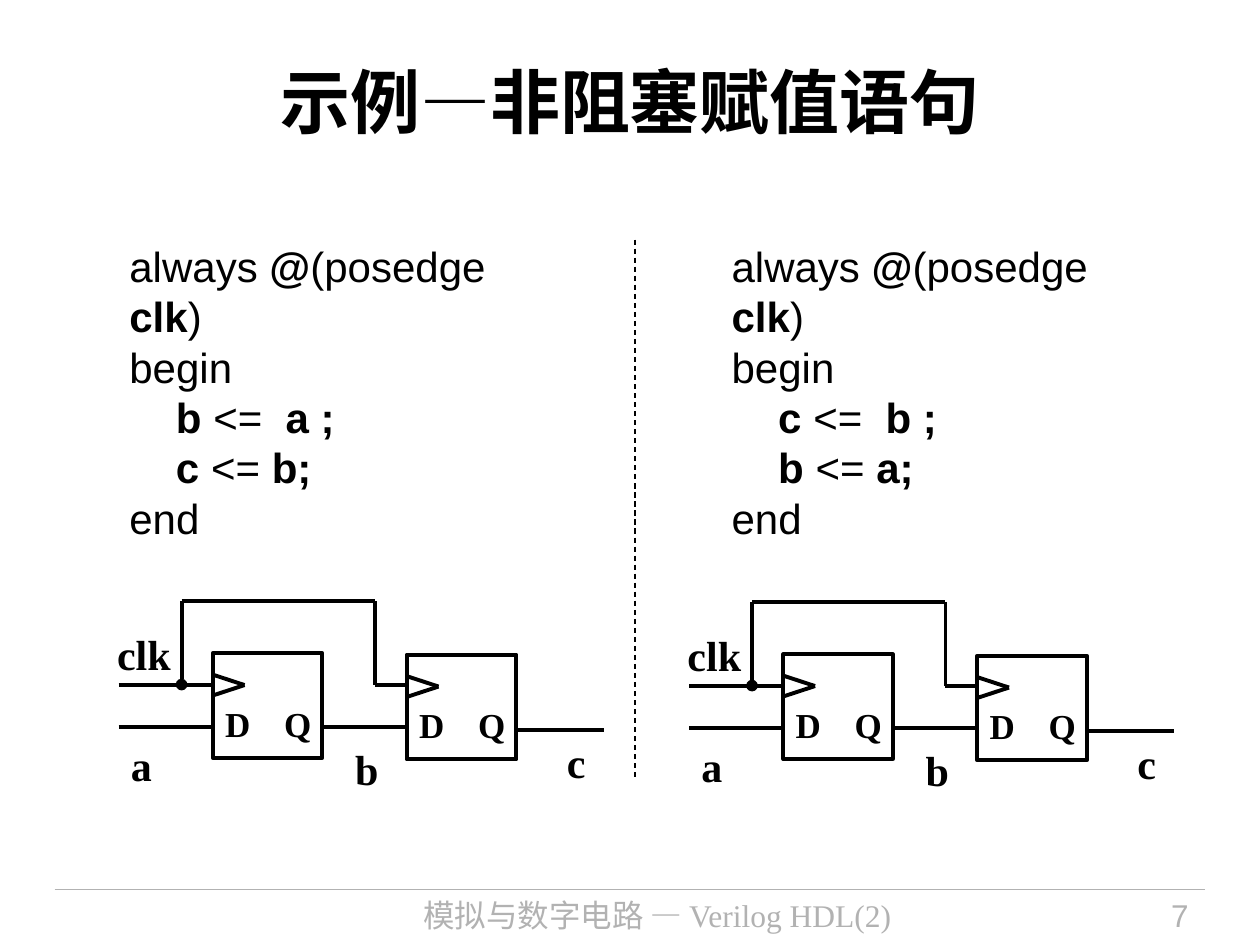
from pptx import Presentation
from pptx.dml.color import RGBColor
from pptx.enum.dml import MSO_LINE
from pptx.enum.shapes import MSO_CONNECTOR, MSO_SHAPE
from pptx.enum.text import MSO_ANCHOR, MSO_AUTO_SIZE, PP_ALIGN
from pptx.oxml.ns import qn
from pptx.util import Cm, Pt
from lxml import etree

STRAIGHT = MSO_CONNECTOR.STRAIGHT
RECTANGLE = MSO_SHAPE.RECTANGLE
DASH = MSO_LINE.DASH
LEFT, CENTER, RIGHT = PP_ALIGN.LEFT, PP_ALIGN.CENTER, PP_ALIGN.RIGHT

THEME = {
    "ink": RGBColor(0x00, 0x00, 0x00),
    "muted": RGBColor(0xB2, 0xB2, 0xB2),
    "thin": Pt(0.75),
    "wire": Pt(2.25),
}
SERIF, SANS = "Times New Roman", "Arial"
TITLE = {"name": SERIF, "size": Pt(40), "bold": True}
CODE = {"name": SANS, "size": Pt(24)}
SIGNAL = {"name": SERIF, "size": Pt(24), "bold": True}
PIN = {"name": SERIF, "size": Pt(20), "bold": True}
FOOTER = {"name": SERIF, "size": Pt(18)}
NUMBER = {"name": SANS, "size": Pt(18)}


def add_line(shapes, start, end, color="ink", width="wire"):
    line = shapes.add_connector(STRAIGHT, *map(Cm, start + end))
    line.line.color.rgb = THEME[color]
    line.line.width = THEME[width]
    etree.SubElement(line._element.spPr, qn("a:effectLst"))
    return line


def add_text(shapes, place, lines, style, color="ink", align=LEFT):
    """Add a text box; each asterisk in a line switches bold on or off."""
    box = shapes.add_textbox(*map(Cm, place))
    frame = box.text_frame
    frame.word_wrap = True
    for index, line in enumerate(lines):
        para = frame.paragraphs[0] if index == 0 else frame.add_paragraph()
        para.alignment = align
        for part, text in enumerate(line.split("*")):
            if not text:
                continue
            span = para.add_run()
            span.text = text
            span.font.bold = part % 2 == 1
            for name, value in style.items():
                setattr(span.font, name, value)
            span.font.color.rgb = THEME[color]


deck = Presentation()
deck.slide_width, deck.slide_height = Cm(25.4), Cm(19.05)
page = deck.slides.add_slide(deck.slide_layouts[5])

add_line(page.shapes, (1.1, 17.93), (24.3, 17.93), "muted", "thin")

# Title
title = page.shapes.title
title.left, title.top, title.width, title.height = map(Cm, (1.27, 0.43, 22.86, 3.18))
title.text_frame.text = "示例—非阻塞赋值语句"
title.text_frame.auto_size = MSO_AUTO_SIZE.NONE
title.text_frame.vertical_anchor = MSO_ANCHOR.MIDDLE
heading = title.text_frame.paragraphs[0]
heading.alignment = CENTER
for name, value in TITLE.items():
    setattr(heading.runs[0].font, name, value)
heading.runs[0].font.color.rgb = THEME["ink"]

# Code on both sides of the divider
listings = [
    (2.36, ["always* @*(posedge* clk*)", "begin",
            "*    b *<=*  a ;", "*    c *<=* b;", "end"]),
    (14.5, ["always *@*(posedge* clk*)", "begin",
            "*    c *<=*  b ;", "*    b *<= *a;", "end"]),
]
for left, code in listings:
    add_text(page.shapes, (left, 4.72, 8.46, 6.35), code, CODE)

divider = add_line(page.shapes, (12.8, 4.83), (12.8, 15.72), width="thin")
divider.line.dash_style = DASH

# Circuit geometry, measured from the start of its clock input
FLIP_FLOPS = [(1.9, -0.63), (5.81, -0.6)]
FLIP_WIDTH, FLIP_HEIGHT = 2.21, 2.11
CLOCK_TOP = -1.68
BRANCH, SECOND_BRANCH = 1.27, 5.17
WIRES = [
    ((0, 0), (1.9, 0)),
    ((0, 0.85), (1.9, 0.85)),
    ((4.11, 0.85), (5.81, 0.85)),
    ((8.02, 0.92), (9.78, 0.92)),
    ((BRANCH, CLOCK_TOP), (SECOND_BRANCH, CLOCK_TOP)),
    ((SECOND_BRANCH, CLOCK_TOP), (SECOND_BRANCH, 0)),
    ((SECOND_BRANCH, 0), (5.81, 0)),
]
SIGNALS = [
    ("clk", -0.28, -1.25, 1.7),
    ("a", 0, 0.99, 0.84),
    ("b", 4.52, 1.07, 0.84),
    ("c", 8.79, 0.92, 0.84),
]

for x, y in [(2.39, 13.8), (13.89, 13.82)]:
    circuit = page.shapes.add_group_shape().shapes
    for (x1, y1), (x2, y2) in WIRES:
        add_line(circuit, (x + x1, y + y1), (x + x2, y + y2))
    junction = add_line(circuit, (x + BRANCH, y + CLOCK_TOP), (x + BRANCH, y))
    etree.SubElement(junction.line._get_or_add_ln(), qn("a:tailEnd"), type="oval")

    for dx, dy in FLIP_FLOPS:
        left, top = x + dx, y + dy
        flip_flop = circuit.add_shape(
            RECTANGLE, *map(Cm, (left, top, FLIP_WIDTH, FLIP_HEIGHT)))
        flip_flop.shadow.inherit = False
        flip_flop.fill.background()
        flip_flop.line.color.rgb = THEME["ink"]
        flip_flop.line.width = THEME["wire"]
        tip = (left + 0.64, top + 0.64)
        add_line(circuit, (left, top + 0.43), tip)
        add_line(circuit, tip, (left, top + 0.85))
        for pin, offset, width in [("D", 0, 1.19), ("Q", 1.19, 0.84)]:
            add_text(circuit, (left + offset, top + 0.86, width, 1.09), [pin], PIN)

    for signal, dx, dy, width in SIGNALS:
        add_text(circuit, (x + dx, y + dy, width, 1.27), [signal], SIGNAL)

# Footer
add_text(page.shapes, (6.1, 17.93, 14.3, 1.12), ["模拟与数字电路 — Verilog HDL(2)"],
         FOOTER, "muted", CENTER)
add_text(page.shapes, (20.83, 17.93, 3.38, 1.12), ["7"], NUMBER, "muted", RIGHT)

deck.save("out.pptx")
